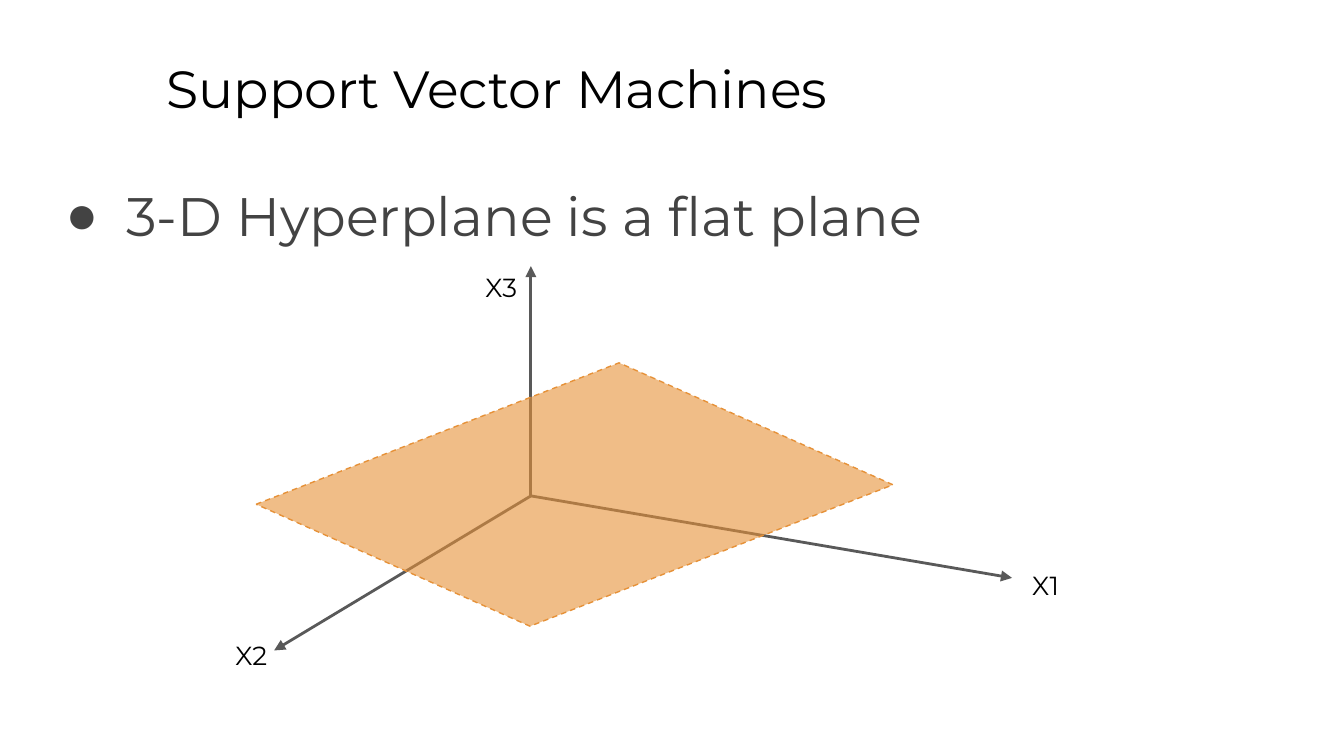
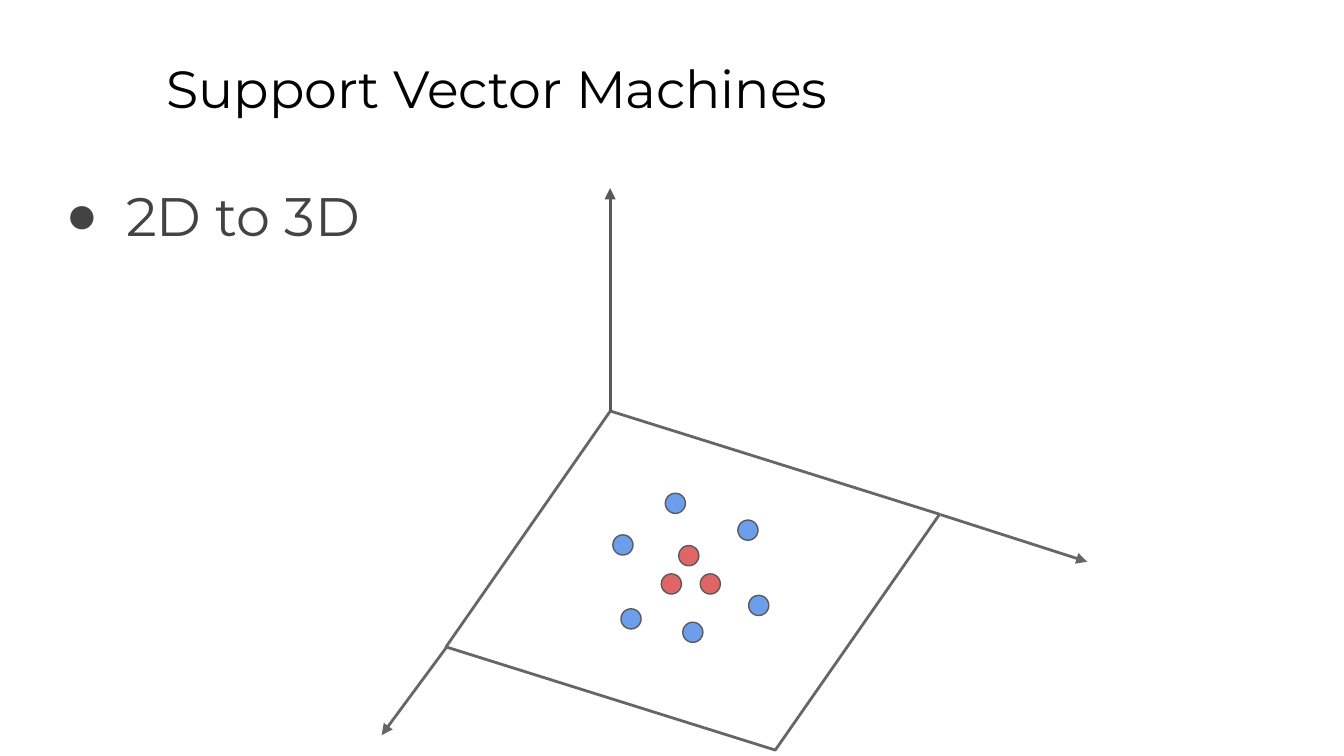
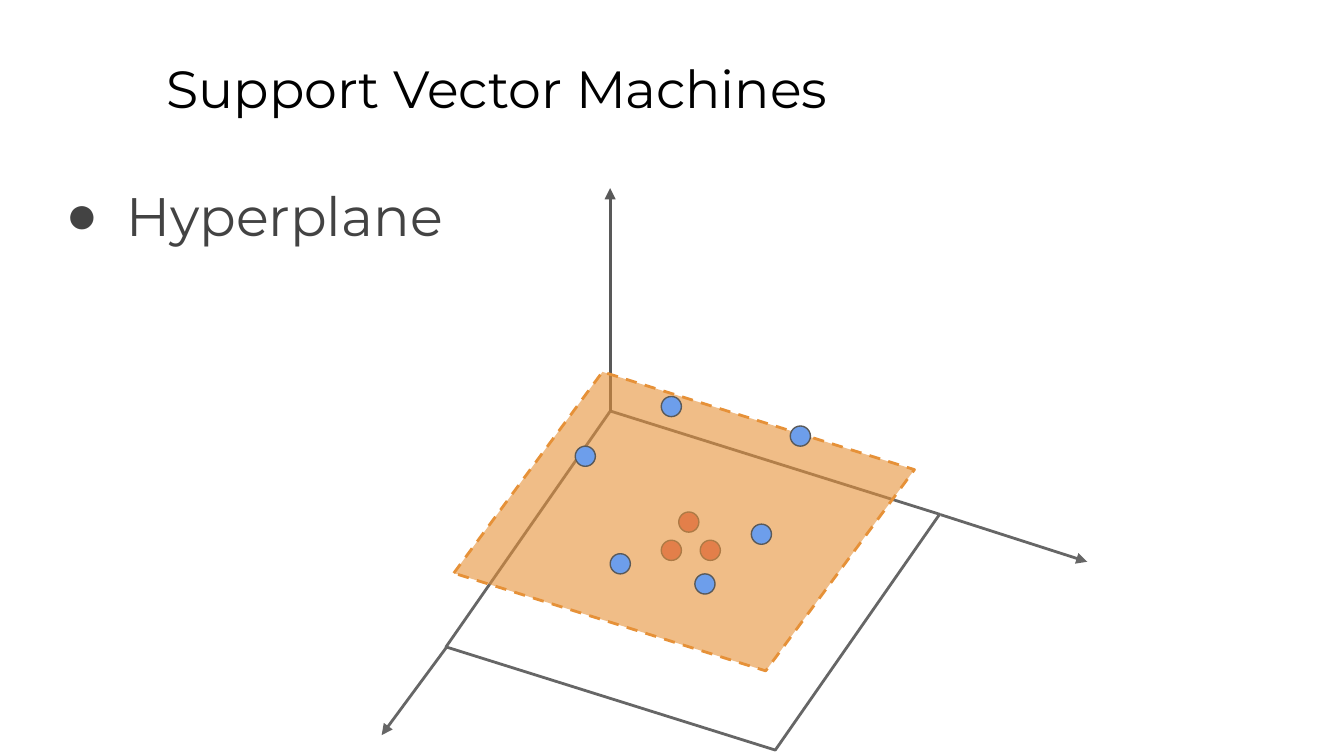
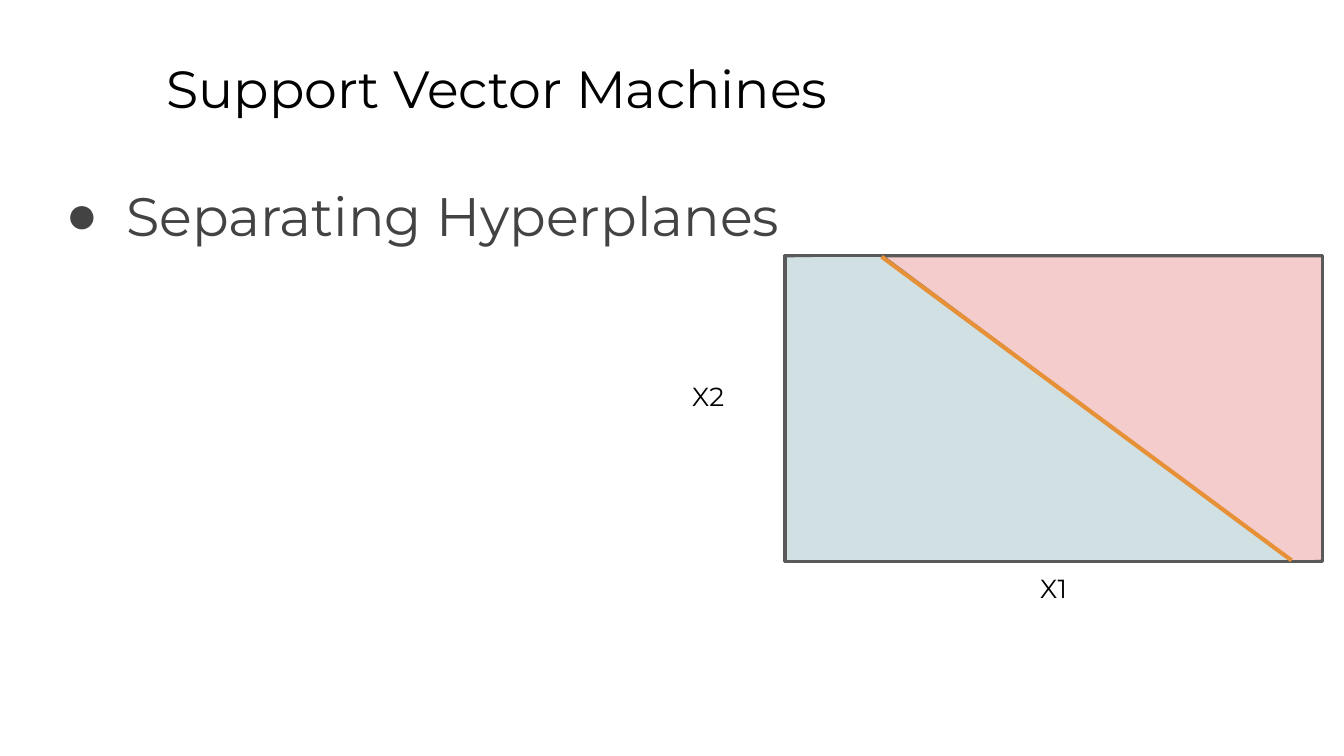
from lxml.etree import SubElement
from pptx import Presentation
from pptx.dml.color import RGBColor
from pptx.enum.dml import MSO_LINE
from pptx.enum.shapes import MSO_CONNECTOR, MSO_SHAPE
from pptx.enum.text import MSO_ANCHOR, PP_ALIGN
from pptx.oxml.ns import qn
from pptx.util import Inches, Pt

FONT, BULLET_FONT = "Montserrat", "Arial"
BLACK, BODY = "000000", "434343"
AXIS, FLOOR = "595959", "666666"
ORANGE, RED, BLUE = "E69138", "E06666", "6D9EEB"
PINK, TEAL = "F4CCCC", "D0E0E3"
TILT = 17.4
DOT = 0.15


def rgb(color):
    return RGBColor.from_string(color)


class Deck:
    def __init__(self):
        self.prs = Presentation()
        self.prs.slide_width = Inches(10)
        self.prs.slide_height = Inches(10 * 9 / 16)
        self.s = None

    def slide(self, bullet, body_height=3.74):
        self.s = self.prs.slides.add_slide(self.prs.slide_layouts[6])
        self.text("Support Vector Machines", 1.14, 0.32, 8.52, 0.63, size=28)
        self.text(bullet, 0.34, 1.26, 9.5, body_height, size=29, color=BODY, bullet=True)

    def text(self, text, x, y, w, h, size=14, color=BLACK, align=PP_ALIGN.LEFT, bullet=False):
        sp = self.s.shapes.add_textbox(Inches(x), Inches(y), Inches(w), Inches(h))
        tf = sp.text_frame
        tf.word_wrap = True
        tf.vertical_anchor = MSO_ANCHOR.TOP
        tf.margin_left = tf.margin_right = tf.margin_top = tf.margin_bottom = Inches(0.1)
        p = tf.paragraphs[0]
        p.alignment = align
        if bullet:
            pPr = p._p.get_or_add_pPr()
            pPr.set("marL", str(Inches(0.5)))
            pPr.set("indent", str(Inches(-0.45)))
            clr = SubElement(pPr, qn("a:buClr"))
            SubElement(clr, qn("a:srgbClr"), val=color)
            SubElement(pPr, qn("a:buFont"), typeface=BULLET_FONT)
            SubElement(pPr, qn("a:buChar"), char="●")
        r = p.add_run()
        r.text = text
        r.font.name = FONT
        r.font.size = Pt(size)
        r.font.color.rgb = rgb(color)

    def label(self, text, x, y, w=1.46, h=0.25):
        self.text(text, x, y, w, h, align=PP_ALIGN.CENTER)

    def style(self, sp, fill, line, width, alpha=None, dash=None):
        sp.shadow.inherit = False
        if fill:
            sp.fill.solid()
            sp.fill.fore_color.rgb = rgb(fill)
        else:
            sp.fill.background()
        if alpha:
            clr = sp._element.spPr.find(qn("a:solidFill")).find(qn("a:srgbClr"))
            SubElement(clr, qn("a:alpha"), val=str(alpha * 1000))
        sp.line.color.rgb = rgb(line)
        sp.line.width = Pt(width)
        if dash:
            sp.line.dash_style = dash

    def shape(self, kind, x, y, w, h, fill=None, line=AXIS, width=1.5, rotation=0, **kw):
        sp = self.s.shapes.add_shape(kind, Inches(x), Inches(y), Inches(w), Inches(h))
        sp.rotation = rotation
        self.style(sp, fill, line, width, **kw)
        return sp

    def plane(self, kind, x, y, w, h, rotation, width):
        return self.shape(kind, x, y, w, h, ORANGE, ORANGE, width, rotation,
                          alpha=60, dash=MSO_LINE.DASH)

    def dots(self, points, color):
        for x, y in points:
            self.shape(MSO_SHAPE.OVAL, x, y, DOT, DOT, color, width=0.75)

    def region(self, points, fill):
        (x, y), *rest = [(Inches(px), Inches(py)) for px, py in points]
        fb = self.s.shapes.build_freeform(x, y)
        fb.add_line_segments(rest, close=True)
        self.style(fb.convert_to_shape(), fill, AXIS, 0.75)

    def line(self, start, end, color=AXIS, width=1.5, arrow=True):
        x1, y1, x2, y2 = [Inches(v) for v in (*start, *end)]
        cn = self.s.shapes.add_connector(MSO_CONNECTOR.STRAIGHT, x1, y1, x2, y2)
        cn.line.color.rgb = rgb(color)
        cn.line.width = Pt(width)
        if arrow:
            ln = cn._element.spPr.find(qn("a:ln"))
            SubElement(ln, qn("a:tailEnd"), type="triangle")
        SubElement(cn._element.spPr, qn("a:effectLst"))

    def floor(self):
        self.shape(MSO_SHAPE.FLOWCHART_DATA, 3.55, 3.3, 3.21, 2.04, line=FLOOR, rotation=TILT)
        self.line((4.54, 3.06), (4.54, 1.4))
        self.line((3.32, 4.82), (2.84, 5.47), FLOOR)
        self.line((7, 3.83), (8.09, 4.18), FLOOR)


def main():
    deck = Deck()
    inner = [(5.05, 4.06), (5.21, 4.27), (4.92, 4.27)]

    deck.slide("3-D Hyperplane is a flat plane")
    axes = [("X1", (7.05, 4.14), (7.53, 4.3)),
            ("X2", (1.14, 4.66), (2.04, 4.84)),
            ("X3", (3, 1.92), (3.95, 1.98))]
    for name, place, tip in axes:
        deck.label(name, *place)
        deck.line((3.95, 3.69), tip)
    sp = deck.plane(MSO_SHAPE.PARALLELOGRAM, 2.14, 2.65, 4.27, 2.06, 24, 0.75)
    sp.adjustments[0] = 0.99

    deck.slide("2D to 3D")
    deck.floor()
    deck.dots(inner, RED)
    deck.dots([(5.08, 4.63), (4.56, 3.98), (5.49, 3.87),
               (4.95, 3.67), (4.62, 4.53), (5.57, 4.43)], BLUE)

    deck.slide("Hyperplane")
    deck.floor()
    deck.dots([(x, y - 0.25) for x, y in inner], RED)
    deck.plane(MSO_SHAPE.FLOWCHART_DATA, 3.57, 3, 3.04, 1.76, TILT, 1.5)
    deck.dots([(5.17, 4.27), (4.28, 3.32), (5.88, 3.17),
               (4.92, 2.95), (4.54, 4.12), (5.59, 3.9)], BLUE)

    deck.slide("Separating Hyperplanes", body_height=0.94)
    deck.region([(6.58, 1.91), (9.62, 4.18), (9.84, 4.17), (9.84, 1.91)], PINK)
    deck.region([(5.85, 1.91), (6.56, 1.9), (9.62, 4.18), (5.85, 4.18)], TEAL)
    deck.shape(MSO_SHAPE.RECTANGLE, 5.84, 1.9, 4, 2.28)
    deck.label("X1", 7.31, 4.18, 1.06, 0.18)
    deck.label("X2", 4.74, 2.75, 1.06, 0.18)
    deck.line((6.56, 1.91), (9.61, 4.17), ORANGE, 2.25, arrow=False)

    deck.prs.save("out.pptx")


if __name__ == "__main__":
    main()
